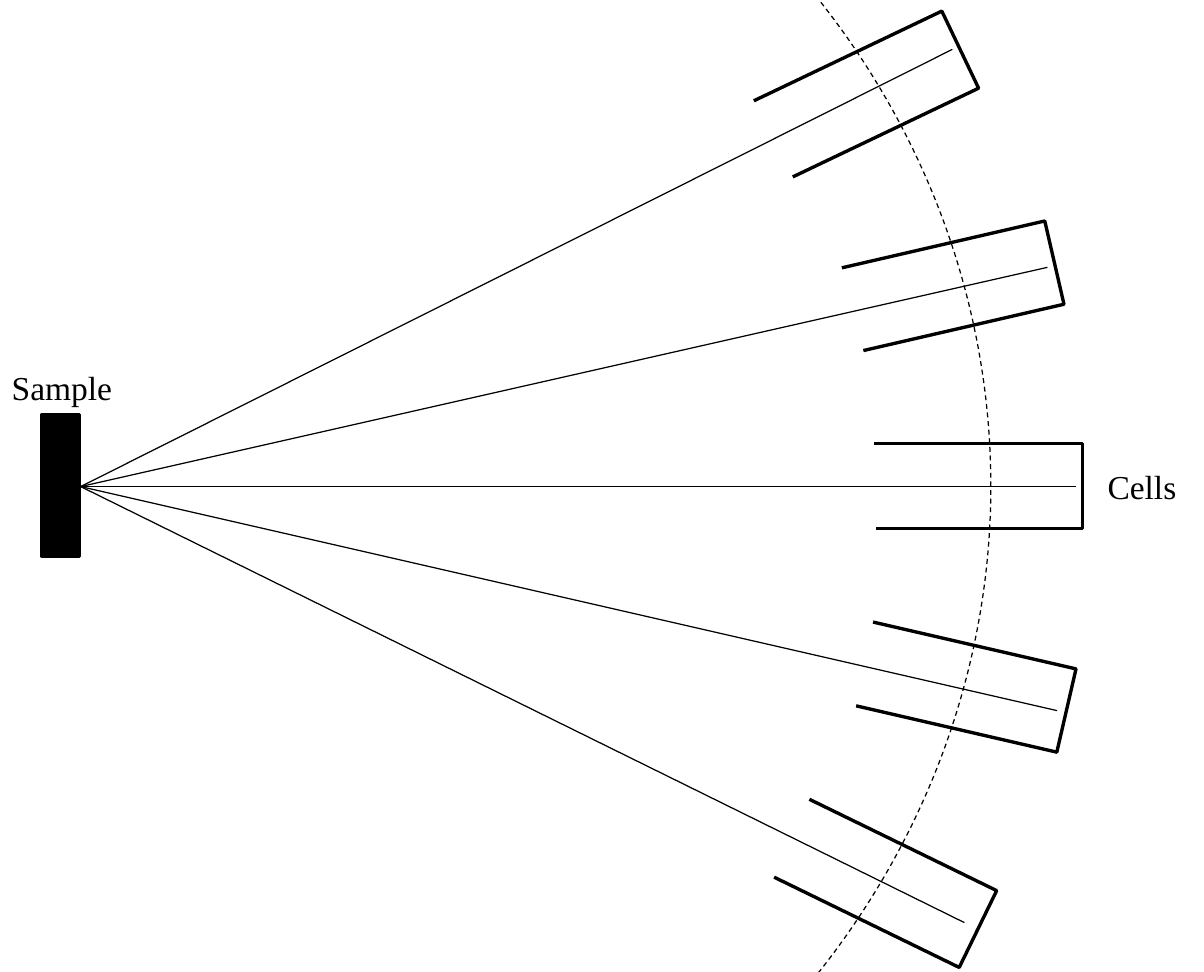
from lxml import etree
from pptx import Presentation
from pptx.dml.color import RGBColor
from pptx.enum.dml import MSO_LINE
from pptx.enum.shapes import MSO_CONNECTOR, MSO_SHAPE
from pptx.enum.text import MSO_AUTO_SIZE, PP_ALIGN
from pptx.oxml.ns import qn
from pptx.util import Inches, Pt

RECT, ARC = MSO_SHAPE.RECTANGLE, MSO_SHAPE.ARC
STRAIGHT, DASH = MSO_CONNECTOR.STRAIGHT, MSO_LINE.DASH
CENTER, FIT = PP_ALIGN.CENTER, MSO_AUTO_SIZE.SHAPE_TO_FIT_TEXT
BLACK = "000000"
THIN, THICK = 0.75, 2


def color(code):
    return RGBColor.from_string(code)


class Sketch:
    font, size, ink = "Times New Roman", 20, BLACK

    def __init__(self, slide):
        self.shapes = slide.shapes

    def stroke(self, item, width):
        item.line.color.rgb = color(self.ink)
        item.line.width = Pt(width)

    def block(self, *box):
        item = self.shapes.add_shape(RECT, *map(Inches, box))
        item.shadow.inherit = False
        item.fill.solid()
        item.fill.fore_color.rgb = color(self.ink)
        self.stroke(item, THICK)

    def arc(self, start, end, *box):
        item = self.shapes.add_shape(ARC, *map(Inches, box))
        item.shadow.inherit = False
        item.fill.background()
        # Angles are held in 60000ths of a degree, scaled by 100000
        item.adjustments[0] = start * 0.6
        item.adjustments[1] = end * 0.6
        self.stroke(item, THIN)
        item.line.dash_style = DASH

    def ray(self, *ends):
        item = self.shapes.add_connector(STRAIGHT, *map(Inches, ends))
        etree.SubElement(item._element.spPr, qn("a:effectLst"))
        self.stroke(item, THIN)

    def cell(self, left, top, angle):
        wide, high, inset = Inches(1.73), Inches(0.71), Inches(0.02)
        pen = self.shapes.build_freeform(0, 0)
        pen.add_line_segments(
            [(wide, 0), (wide, high), (inset, high)], close=False)
        item = pen.convert_to_shape(Inches(left), Inches(top))
        item.rotation = angle
        item.shadow.inherit = False
        item.fill.background()
        self.stroke(item, THICK)

    def label(self, text, *box):
        frame = self.shapes.add_textbox(*map(Inches, box)).text_frame
        frame.word_wrap = False
        frame.auto_size = FIT
        frame.margin_left = frame.margin_right = Inches(0.05)
        frame.text = text
        line = frame.paragraphs[0]
        line.alignment = CENTER
        font = line.runs[0].font
        font.name, font.size = self.font, Pt(self.size)
        font.color.rgb = color(self.ink)


def main():
    deck = Presentation()
    deck.slide_width, deck.slide_height = Inches(10), Inches(8.07)
    sketch = Sketch(deck.slides.add_slide(deck.slide_layouts[6]))

    # Sample and the arc of equal distance
    sketch.block(0.35, 3.44, 0.31, 1.18)
    sketch.arc(269.64, 89.89, -6.42, -2.77, 14.65, 13.61)

    # Rays from the sample
    source = (0.67, 4.04)
    tips = [(7.91, 0.41), (8.7, 2.22), (8.94, 4.04), (8.78, 5.9), (8.01, 7.66)]
    for tip in tips:
        sketch.ray(*tip, *source)

    # Cells, each turned to face the sample: left, top, angle
    cells = [(6.33, 0.43, 334.5), (7.05, 2.02, 347), (7.26, 3.68, 0),
             (7.15, 5.35, 13), (6.48, 6.98, 26)]
    for cell in cells:
        sketch.cell(*cell)

    # Labels
    sketch.label("Sample", 0, 3, 1.03, 0.43)
    sketch.label("Cells", 9.1, 3.82, 0.77, 0.43)

    deck.save("out.pptx")


if __name__ == "__main__":
    main()
